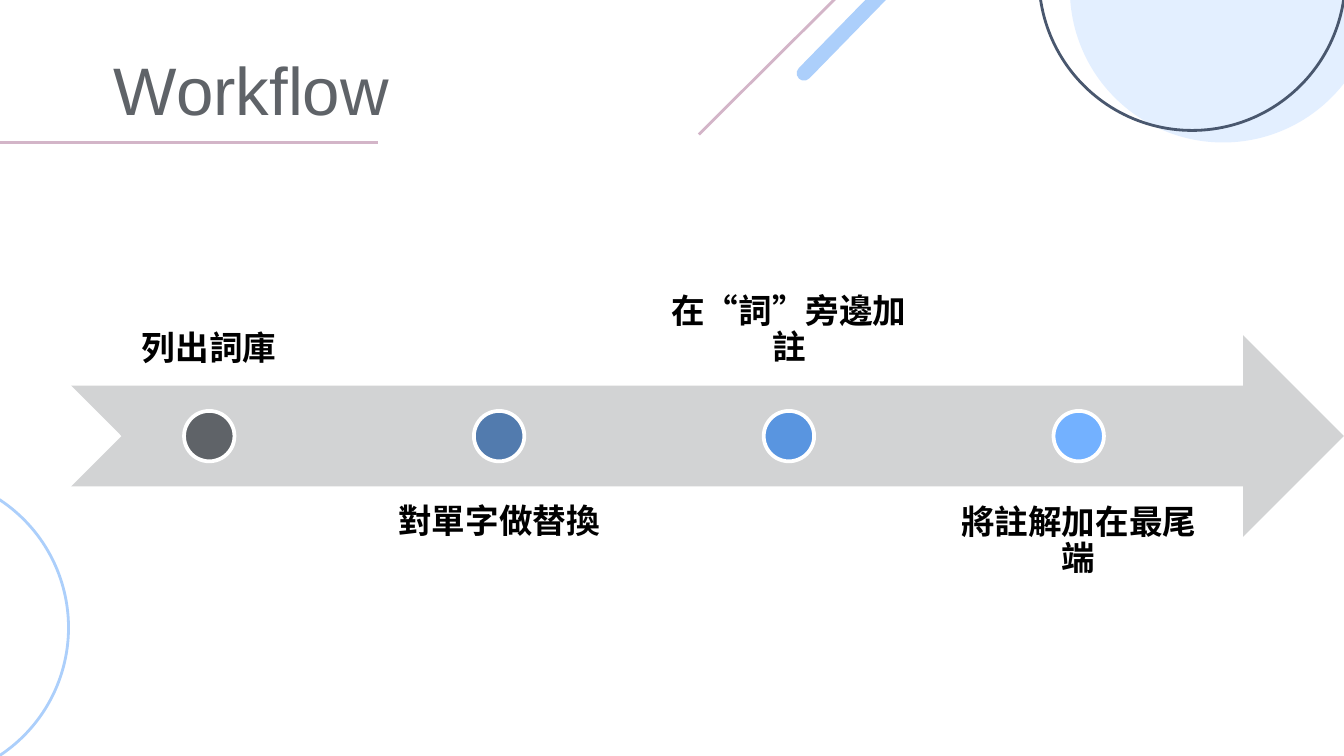
from collections import namedtuple

from lxml.etree import SubElement
from pptx import Presentation
from pptx.dml.color import RGBColor
from pptx.enum.shapes import MSO_CONNECTOR, MSO_SHAPE
from pptx.enum.text import MSO_ANCHOR, PP_ALIGN
from pptx.oxml.ns import qn
from pptx.util import Inches, Pt

# The slide is a grid of square cells, 100 columns wide.
COLUMNS, ROWS = 100, 56.25
CELL = Inches(10) / COLUMNS
FONT = "Arial"
COLORS = {
    "pale": "E3EFFF",
    "navy": "49576E",
    "sky": "ACCFFB",
    "mauve": "D3B5C8",
    "title": "5F6368",
    "arrow": "D2D3D4",
    "label": "000000",
    "white": "FFFFFF",
}
STEPS = [
    ("列出詞庫", "5F6368"),
    ("對單字做替換", "527BAE"),
    ("在“詞”旁邊加註", "5995E0"),
    ("將註解加在最尾端", "73B1FF"),
]

Box = namedtuple("Box", "left top width height")


def cells(*counts):
    return [round(count * CELL) for count in counts]


def rgb(color):
    return RGBColor.from_string(color)


def add_figure(slide, preset, box, fill=None, line=None, weight=1.5, rotation=0):
    figure = slide.shapes.add_shape(preset, *cells(*box))
    figure.shadow.inherit = False
    figure.rotation = rotation
    if fill:
        figure.fill.solid()
        figure.fill.fore_color.rgb = rgb(fill)
    else:
        figure.fill.background()
    if line:
        figure.line.color.rgb = rgb(line)
        figure.line.width = Pt(weight)
    else:
        figure.line.fill.background()
    return figure


def add_rule(slide, start, end):
    rule = slide.shapes.add_connector(
        MSO_CONNECTOR.STRAIGHT, *cells(*start, *end))
    rule.line.color.rgb = rgb(COLORS["mauve"])
    rule.line.width = Pt(1.5)
    SubElement(rule._element.spPr, qn("a:effectLst"))


def add_text(slide, box, words, size, color, inset, anchor, bold=False):
    """Add a one-paragraph text box and return the paragraph."""
    frame = slide.shapes.add_textbox(*cells(*box)).text_frame
    frame.word_wrap = True
    frame.vertical_anchor = anchor
    frame.margin_left = frame.margin_right = Inches(inset)
    frame.margin_top = frame.margin_bottom = Inches(inset)
    paragraph = frame.paragraphs[0]
    run = paragraph.add_run()
    run.text = words
    run.font.name = FONT
    run.font.size = Pt(size)
    run.font.bold = bold
    run.font.color.rgb = rgb(color)
    return paragraph


def add_decoration(slide, box):
    """Place the circles and slanted strokes that run over the slide's edges."""
    circle = 22.8
    right, bottom = box.left + box.width, box.top + box.height
    circles = [
        (right - 20.4, box.top - 12.2, COLORS["pale"], None),
        (right - 22.7, box.top - 13.1, None, COLORS["navy"]),
        (box.left - 17.7, bottom - 20.95, None, COLORS["sky"]),
    ]
    for left, top, fill, line in circles:
        add_figure(slide, MSO_SHAPE.OVAL, Box(left, top, circle, circle),
                   fill, line, rotation=180)

    stroke = add_figure(slide, MSO_SHAPE.ROUND_2_SAME_RECTANGLE,
                        Box(right - 33.6, box.top - 12.6, 1.1, 21.5),
                        COLORS["sky"], rotation=224.3)
    stroke.adjustments[0] = 0.5
    stroke.adjustments[1] = 0
    add_rule(slide, (right - 26.2, box.top - 11.7), (right - 48, box.top + 10))


def add_heading(slide, box, words):
    add_text(slide, box, words, 36, COLORS["title"], 0.1, MSO_ANCHOR.BOTTOM)
    baseline = box.top + box.height
    add_rule(slide, (box.left + 20.6, baseline), (box.left - 13, baseline))


def add_timeline(slide, box, steps):
    """Draw the arrow across the box's middle third, labels above and below."""
    band = box.height / 5 * 2
    arrow_top = box.top + (box.height - band) / 2
    add_figure(slide, MSO_SHAPE.NOTCHED_RIGHT_ARROW,
               Box(box.left, arrow_top, box.width, band), COLORS["arrow"])

    # Steps fill 90% of the arrow; the gap between labels is 5% of a label.
    label_width = 0.9 * box.width / (len(steps) + 0.05 * (len(steps) - 1))
    dot = band / 4
    for index, (words, color) in enumerate(steps):
        left = box.left + index * 1.05 * label_width
        above = index % 2 == 0
        label_top = box.top if above else box.top + box.height - band
        anchor = MSO_ANCHOR.BOTTOM if above else MSO_ANCHOR.TOP
        label = add_text(slide, Box(left, label_top, label_width, band), words,
                         18, COLORS["label"], 0.14, anchor, bold=True)
        label.alignment = PP_ALIGN.CENTER
        label.line_spacing = 0.9
        add_figure(slide, MSO_SHAPE.OVAL,
                   Box(left + (label_width - dot) / 2,
                       box.top + (box.height - dot) / 2, dot, dot),
                   color, COLORS["white"], 2)


def main():
    presentation = Presentation()
    presentation.slide_width, presentation.slide_height = cells(COLUMNS, ROWS)
    slide = presentation.slides.add_slide(presentation.slide_layouts[6])
    add_decoration(slide, Box(0, 0, COLUMNS, ROWS))
    add_heading(slide, Box(7.5, 4.8, 58.3, 5.8), "Workflow")
    add_timeline(slide, Box(5.3, 13.7, 94.7, 37.5), STEPS)
    presentation.save("out.pptx")


if __name__ == "__main__":
    main()
